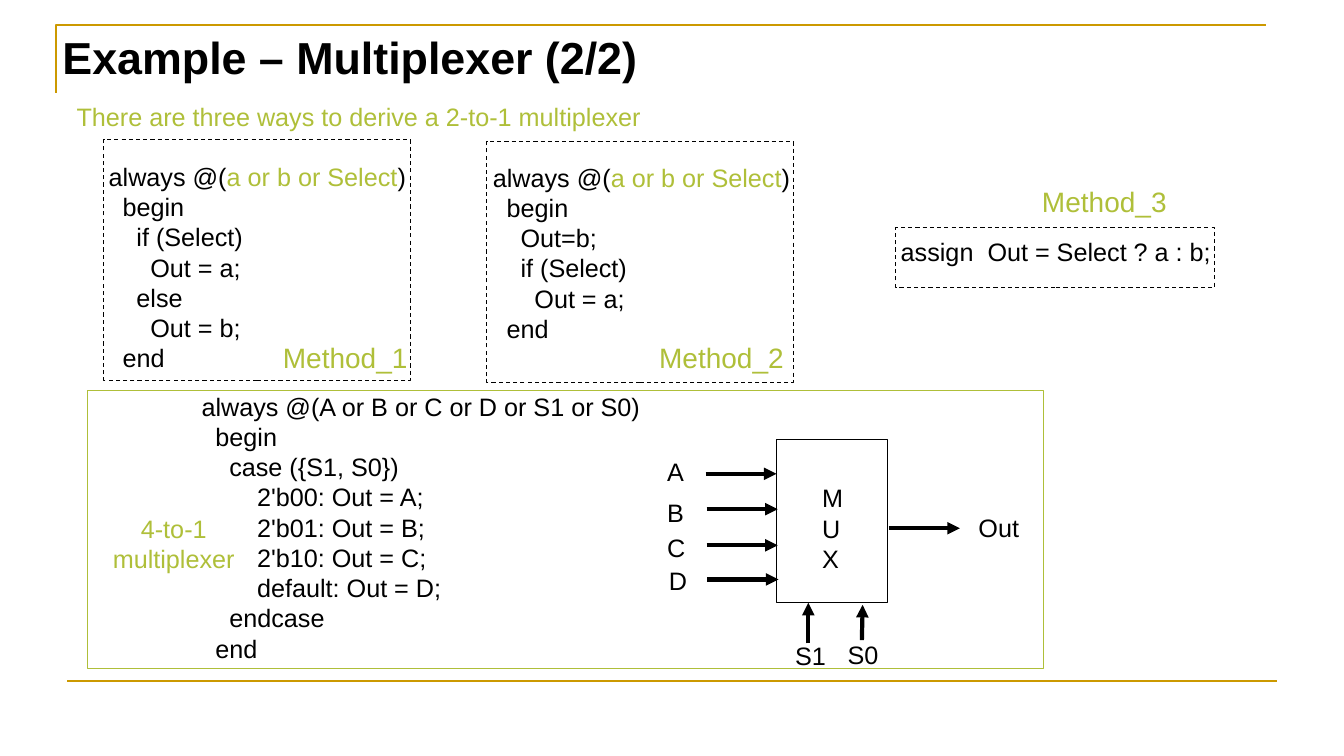
from dataclasses import dataclass
from lxml.etree import SubElement
from pptx import Presentation
from pptx.dml.color import RGBColor
from pptx.enum.dml import MSO_LINE
from pptx.enum.shapes import MSO_CONNECTOR, MSO_SHAPE
from pptx.enum.text import MSO_ANCHOR, PP_ALIGN
from pptx.oxml.ns import qn
from pptx.util import Cm, Pt


@dataclass(frozen=True)
class Theme:
    font: str = "Arial"
    ink: RGBColor = RGBColor(0, 0, 0)
    accent: RGBColor = RGBColor(0xAF, 0xBF, 0x39)
    rule: RGBColor = RGBColor(0xCC, 0x99, 0x00)
    title: int = 32
    method: int = 20
    body: int = 18
    leading: float = 1.2
    indent: float = 0.35


T = Theme()

TITLE = "Example – Multiplexer (2/2)"
INTRO = "There are three ways to derive a 2-to-1 multiplexer"
SENSITIVITY = [("always @(", T.ink), ("a or b or Select", T.accent), (")", T.ink)]

# fmt: off
CODE = [
    ((2.49, 3.94, 8.97, 6.35), [
        (0, SENSITIVITY), (1, "begin"), (2, "if (Select)"), (3, "Out = a;"),
        (2, "else"), (3, "Out = b;"), (1, "end")]),
    ((12.17, 3.96, 8.97, 5.59), [
        (0, SENSITIVITY), (1, "begin"), (2, "Out=b;"), (2, "if (Select)"),
        (3, "Out = a;"), (1, "end")]),
    ((22.45, 5.82, 10.8, 1.02), [(0, "assign  Out = Select ? a : b;")]),
    ((4.83, 9.73, 12.7, 7.11), [
        (0, "always @(A or B or C or D or S1 or S0)"), (1, "begin"),
        (2, "case ({S1, S0})"), (4, "2'b00: Out = A;"), (4, "2'b01: Out = B;"),
        (4, "2'b10: Out = C;"), (4, "default: Out = D;"), (2, "endcase"),
        (1, "end")]),
]
# fmt: on
FRAMES = [
    ((2.62, 3.51, 7.72, 6.07), T.ink, True),
    ((12.27, 3.56, 7.72, 6.07), T.ink, True),
    ((22.58, 5.74, 8.03, 1.5), T.ink, True),
    ((2.21, 9.83, 24.08, 7.01), T.accent, False),
    ((19.58, 11.07, 2.79, 4.11), T.ink, False),
]
METHODS = [("Method_1", 6.88, 8.46), ("Method_2", 16.36, 8.46), ("Method_3", 26.01, 4.52)]
LABELS = [
    ("A", 16.56, 11.38, 0.99, 1.02),
    ("B", 16.56, 12.4, 0.99, 1.02),
    ("C", 16.56, 13.28, 0.99, 1.02),
    ("D", 16.61, 14.12, 0.99, 1.02),
    ("S1", 19.79, 16, 1.32, 1.02),
    ("S0", 21.11, 15.98, 1.32, 1.02),
    ("Out", 24.41, 12.78, 1.6, 1.02),
    ("MUX", 20.47, 12.04, 1.19, 2.54),
]
INPUTS = [(17.78, 11.94), (17.81, 12.83), (17.81, 13.74), (17.83, 14.6)]
REACH = 1.79
ARROWS = [(x, y, x + REACH, y) for x, y in INPUTS + [(22.4, 13.31)]]
ARROWS += [(20.37, 16.21, 20.37, 15.19), (21.72, 16.13, 21.74, 15.24)]


def place(box):
    return [Cm(v) for v in box]


def write(tf, lines, size=T.body, color=T.ink, bold=False, align=PP_ALIGN.LEFT):
    tf.word_wrap = True
    tf.vertical_anchor = MSO_ANCHOR.TOP
    for i, (level, runs) in enumerate(lines):
        p = tf.add_paragraph() if i else tf.paragraphs[0]
        p.alignment = align
        p.line_spacing = Pt(size * T.leading)
        if level:
            p._p.get_or_add_pPr().set("marL", str(Cm(level * T.indent)))
        for text, tint in [(runs, color)] if isinstance(runs, str) else runs:
            r = p.add_run()
            r.text = text
            r.font.name, r.font.size, r.font.bold = T.font, Pt(size), bold
            r.font.color.rgb = tint


def add_text(s, box, lines, **style):
    write(s.shapes.add_textbox(*place(box)).text_frame, lines, **style)


def add_frame(s, box, color, dashed):
    sp = s.shapes.add_shape(MSO_SHAPE.RECTANGLE, *place(box))
    sp.shadow.inherit = False
    sp.fill.background()
    sp.line.color.rgb, sp.line.width = color, Pt(0.75)
    if dashed:
        sp.line.dash_style = MSO_LINE.DASH


def add_line(s, ends, color, width, arrow=False):
    c = s.shapes.add_connector(MSO_CONNECTOR.STRAIGHT, *place(ends))
    c.line.color.rgb, c.line.width = color, Pt(width)
    if arrow:
        SubElement(c.line._get_or_add_ln(), qn("a:tailEnd"), type="triangle")
    SubElement(c._element.spPr, qn("a:effectLst"))


def add_corner_rule(s):
    fb = s.shapes.build_freeform(Cm(1.42), Cm(2.34))
    fb.add_line_segments([place((1.42, 0.64)), place((31.9, 0.64))], close=False)
    sp = fb.convert_to_shape()
    sp.shadow.inherit = False
    sp.fill.background()
    sp.line.color.rgb, sp.line.width = T.rule, Pt(1.5)


def main():
    """Build the multiplexer slide and save it."""
    prs = Presentation()
    prs.slide_width, prs.slide_height = Cm(33.87), Cm(19.05)
    s = prs.slides.add_slide(prs.slide_layouts[5])
    add_corner_rule(s)
    add_line(s, (1.7, 17.15, 32.18, 17.15), T.rule, 1.5)

    title = s.shapes.title
    title.left, title.top, title.width, title.height = place((1.32, 0.61, 15.6, 1.63))
    write(title.text_frame, [(0, TITLE)], size=T.title, bold=True)

    add_text(s, (1.68, 2.44, 15.5, 1.02), [(0, INTRO)], color=T.accent)
    for box, lines in CODE:
        add_text(s, box, lines)
    for box, color, dashed in FRAMES:
        add_frame(s, box, color, dashed)
    add_text(s, (2.59, 12.8, 3.58, 1.78), [(0, "4-to-1"), (0, "multiplexer")],
             color=T.accent, align=PP_ALIGN.CENTER)
    for ends in ARROWS:
        add_line(s, ends, T.ink, 3, arrow=True)
    for name, *box in LABELS:
        add_text(s, box, [(0, name)])
    for name, x, y in METHODS:
        add_text(s, (x, y, 4, 1.09), [(0, name)], size=T.method, color=T.accent)
    prs.save("out.pptx")


if __name__ == "__main__":
    main()
